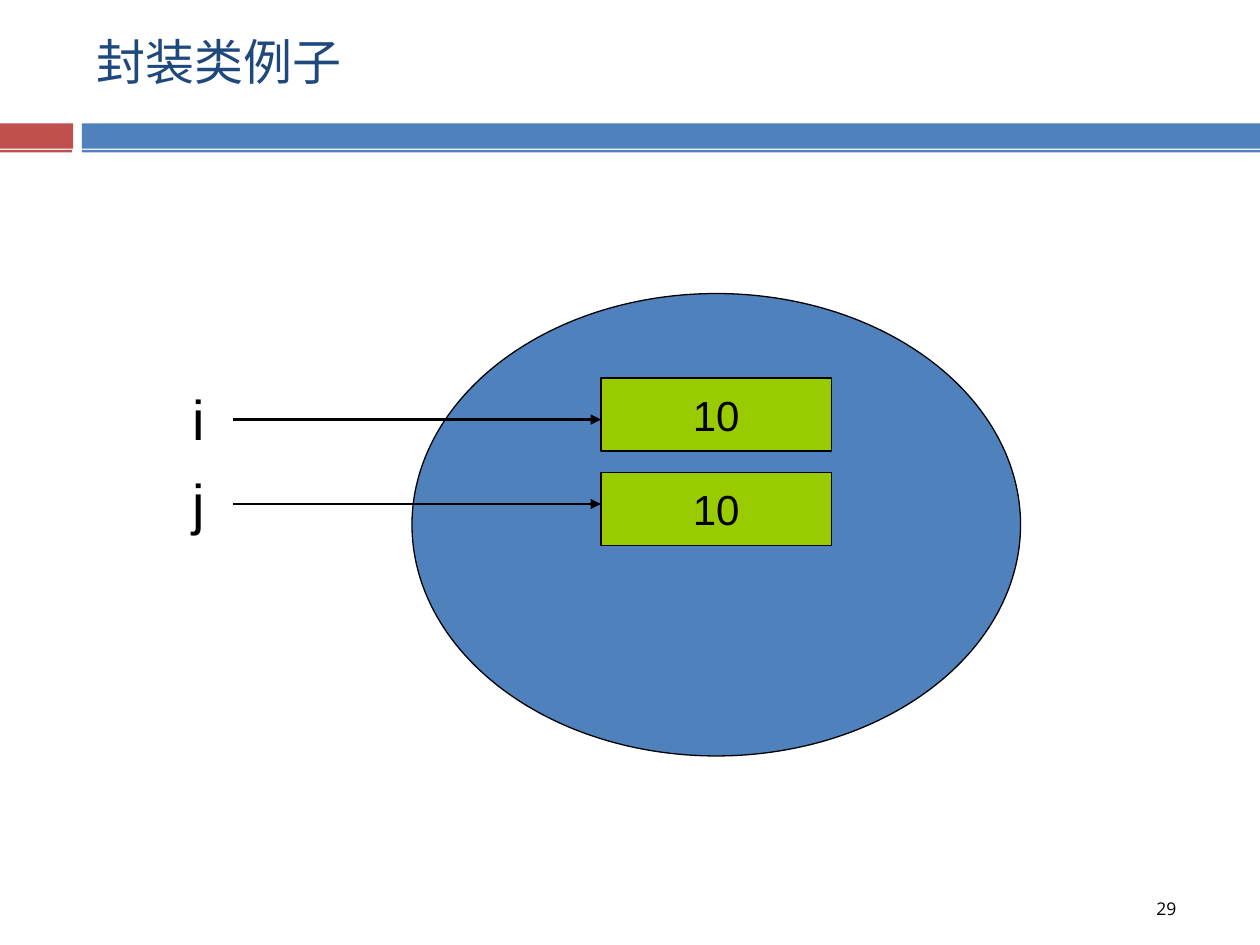
from pptx import Presentation
from pptx.dml.color import RGBColor
from pptx.enum import shapes, text
from pptx.oxml.ns import qn
from pptx.util import Inches, Pt
from lxml import etree

RED = RGBColor(0xC0, 0x50, 0x4D)
BLUE = RGBColor(0x4F, 0x81, 0xBD)
NAVY = RGBColor(0x1F, 0x49, 0x7D)
GREEN = RGBColor(0x99, 0xCC, 0x00)
BLACK = RGBColor(0, 0, 0)

prs = Presentation()
prs.slide_width, prs.slide_height = Inches(10), Inches(7.5)
s = prs.slides.add_slide(prs.slide_layouts[6])


def add_block(kind, box, fill, line=None):
    sp = s.shapes.add_shape(kind, *map(Inches, box))
    sp.shadow.inherit = False
    sp.fill.solid()
    sp.fill.fore_color.rgb = fill
    if line is None:
        sp.line.fill.background()
    else:
        sp.line.color.rgb = line
        sp.line.width = Pt(0.75)
    return sp


def write(sp, words, size, font, color, wrap=True,
          anchor=text.MSO_ANCHOR.TOP, align=text.PP_ALIGN.LEFT):
    tf = sp.text_frame
    tf.word_wrap = wrap
    tf.vertical_anchor = anchor
    p = tf.paragraphs[0]
    p.alignment = align
    r = p.add_run()
    r.text = words
    for name, value in {"size": Pt(size), "name": font}.items():
        setattr(r.font, name, value)
    r.font.color.rgb = color
    etree.SubElement(r.font._element, qn("a:ea")).set("typeface", font)


RECT = shapes.MSO_SHAPE.RECTANGLE
for top, height, red_left in ((0.98, 0.2, 0), (1.19, 0.02, -0.01)):
    add_block(RECT, (red_left, top, 0.58, height), RED)
    add_block(RECT, (0.65, top, 9.35, height), BLUE)

title = s.shapes.add_textbox(*map(Inches, (0.67, 0.01, 8.92, 0.94)))
write(title, "封装类例子", 28, "Open Sans", NAVY, anchor=text.MSO_ANCHOR.MIDDLE)

add_block(shapes.MSO_SHAPE.OVAL, (3.27, 2.33, 4.83, 3.67), BLUE, BLACK)

variables = (("i", 3, 3, 3.33, 1.5), ("j", 3.75, 3.67, 4, 0.75))
for name, box_top, label_top, arrow_y, weight in variables:
    value_box = add_block(RECT, (4.77, box_top, 1.83, 0.58), GREEN, BLACK)
    write(value_box, "10", 24, "Arial", BLACK, False,
          text.MSO_ANCHOR.MIDDLE, text.PP_ALIGN.CENTER)

    label = s.shapes.add_textbox(*map(Inches, (1.43, label_top, 0.58, 0.63)))
    write(label, name, 32, "Arial", BLACK)

    arrow = s.shapes.add_connector(
        shapes.MSO_CONNECTOR.STRAIGHT,
        *map(Inches, (1.85, arrow_y, 4.77, arrow_y)))
    arrow.line.color.rgb = BLACK
    arrow.line.width = Pt(weight)
    etree.SubElement(arrow.line._get_or_add_ln(), qn("a:tailEnd")).set("type", "triangle")
    etree.SubElement(arrow._element.spPr, qn("a:effectLst"))

number = s.shapes.add_textbox(*map(Inches, (9.08, 7.08, 0.42, 0.37)))
write(number, "29", 10, "Open Sans", BLACK)

prs.save("out.pptx")
